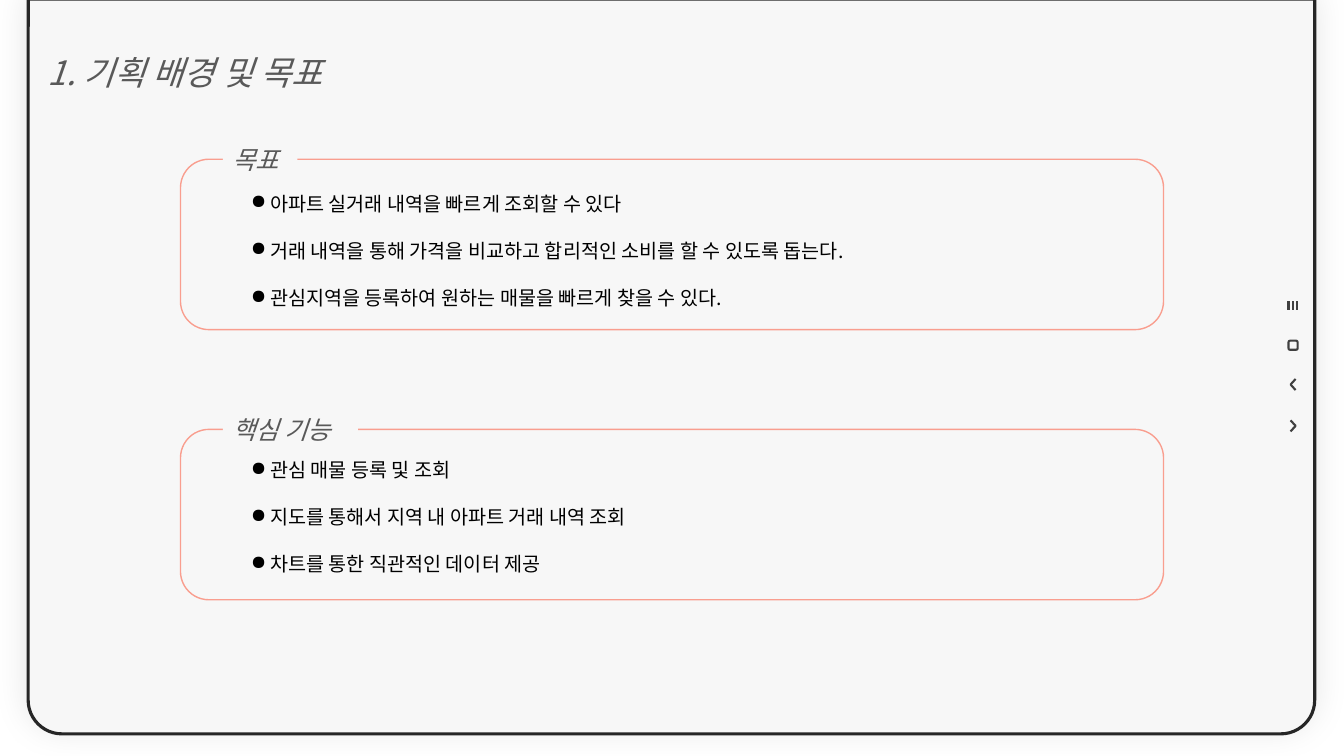
import pptx
import pptx.util
import pptx.oxml
import pptx.oxml.ns
import pptx.dml.color
import pptx.enum.shapes
import pptx.enum.text
import lxml.etree

Pt = pptx.util.Pt
Kind = pptx.enum.shapes.MSO_SHAPE
qn = pptx.oxml.ns.qn
FONT = "Noto Sans CJK KR"
HUES = {"page": "F7F7F7", "edge": "262626", "icon": "404040",
        "head": "595959", "body": "000000", "rim": "F99E8F"}

deck = pptx.Presentation()
deck.slide_width = pptx.util.Inches(13.33)
deck.slide_height = pptx.util.Inches(7.5)
slide = deck.slides.add_slide(deck.slide_layouts[6])
shapes = slide.shapes
# One grid cell is a tenth of an inch
cell = deck.slide_width / 133.3


def paint(shape, fill=None, line=None, width=1):
    shape.shadow.inherit = False
    if fill:
        shape.fill.solid()
        shape.fill.fore_color.rgb = pptx.dml.color.RGBColor.from_string(HUES[fill])
    else:
        shape.fill.background()
    if line:
        shape.line.color.rgb = pptx.dml.color.RGBColor.from_string(HUES[line])
        shape.line.width = Pt(width)
    else:
        shape.line.fill.background()
    return shape


def write(shape, text, size=14, hue="body", slant=False, top=0.5,
          anchor="TOP", bullet=None, gap=0):
    frame = shape.text_frame
    frame.word_wrap = True
    frame.margin_top = int(top * cell)
    frame.vertical_anchor = pptx.enum.text.MSO_ANCHOR[anchor]
    frame.text = text
    for para in frame.paragraphs:
        para.alignment = pptx.enum.text.PP_ALIGN.LEFT
        para.line_spacing = Pt(size * 1.2)
        para.space_after = Pt(gap)
        if bullet:
            props = para._p.get_or_add_pPr()
            props.set("marL", str(int(1.9 * cell)))
            props.set("indent", str(int(-1.9 * cell)))
            lxml.etree.SubElement(props, qn("a:buChar")).set("char", bullet)
        for run in para.runs:
            font = run.font
            font.size, font.italic, font.name = Pt(size), slant, FONT
            font.color.rgb = pptx.dml.color.RGBColor.from_string(HUES[hue])
            lxml.etree.SubElement(run._r.rPr, qn("a:ea")).set("typeface", FONT)


# Page panel with its soft shadow and the title
page = shapes.add_shape(Kind.ROUND_2_SAME_RECTANGLE, *(
    int(n * cell) for n in (2.8, -0.1, 127.6, 72.9)))
page.adjustments[0], page.adjustments[1] = 0, 0.046
paint(page, "page", "edge", 2.25)
shade = pptx.oxml.parse_xml(
    f'<a:outerShdw {pptx.oxml.ns.nsdecls("a")} blurRad="{Pt(24)}" dist="{Pt(3)}" '
    'dir="16200000" algn="b" rotWithShape="0"><a:srgbClr val="000000">'
    '<a:alpha val="10000"/></a:srgbClr></a:outerShdw>')
page._element.spPr.find(qn("a:effectLst")).append(shade)
write(page, "1. 기획 배경 및 목표", size=24, hue="head", slant=True, top=5.2)

# Side icons: bars, square, two chevrons
for step in range(3):
    x = int((127.8 + 0.4 * step) * cell)
    bar = shapes.add_connector(pptx.enum.shapes.MSO_CONNECTOR.STRAIGHT,
                               x, int(29.9 * cell), x, int(30.8 * cell))
    bar.line.color.rgb = pptx.dml.color.RGBColor.from_string(HUES["icon"])
    bar.line.width = Pt(1.5)
    lxml.etree.SubElement(bar._element.spPr, qn("a:effectLst"))

square = shapes.add_shape(Kind.ROUNDED_RECTANGLE, *(
    int(n * cell) for n in (127.8, 33.8, 0.9, 0.9)))
paint(square, line="icon", width=1.5)

for top, tip, back in ((37.6, 128, 128.5), (41.7, 128.5, 128)):
    path = shapes.build_freeform(int(back * cell), int(top * cell))
    path.add_line_segments([(int(tip * cell), int((top + 0.55) * cell)),
                            (int(back * cell), int((top + 1.1) * cell))], close=False)
    paint(path.convert_to_shape(), line="icon", width=1.5)

# Framed lists: frame top, label, label width, list top, items
parts = [
    (15.8, "목표", 7.4, 18.5, [
        "아파트 실거래 내역을 빠르게 조회할 수 있다",
        "거래 내역을 통해 가격을 비교하고 합리적인 소비를 할 수 있도록 돕는다.",
        "관심지역을 등록하여 원하는 매물을 빠르게 찾을 수 있다."]),
    (42.6, "핵심 기능", 13.4, 44.9, [
        "관심 매물 등록 및 조회",
        "지도를 통해서 지역 내 아파트 거래 내역 조회",
        "차트를 통한 직관적인 데이터 제공"]),
]
for top, name, wide, start, items in parts:
    frame = shapes.add_shape(Kind.ROUNDED_RECTANGLE, *(
        int(n * cell) for n in (17.9, top, 97.5, 16.9)))
    paint(frame, line="rim")
    label = shapes.add_shape(Kind.RECTANGLE, *(
        int(n * cell) for n in (22.1, top - 2, wide, 4)))
    write(paint(label, "page"), name, size=18, hue="head", slant=True, anchor="MIDDLE")
    box = shapes.add_textbox(*(int(n * cell) for n in (23.9, start, 68.1, 12.8)))
    write(box, "\n".join(items), bullet="●", gap=16.8)

deck.save("out.pptx")
